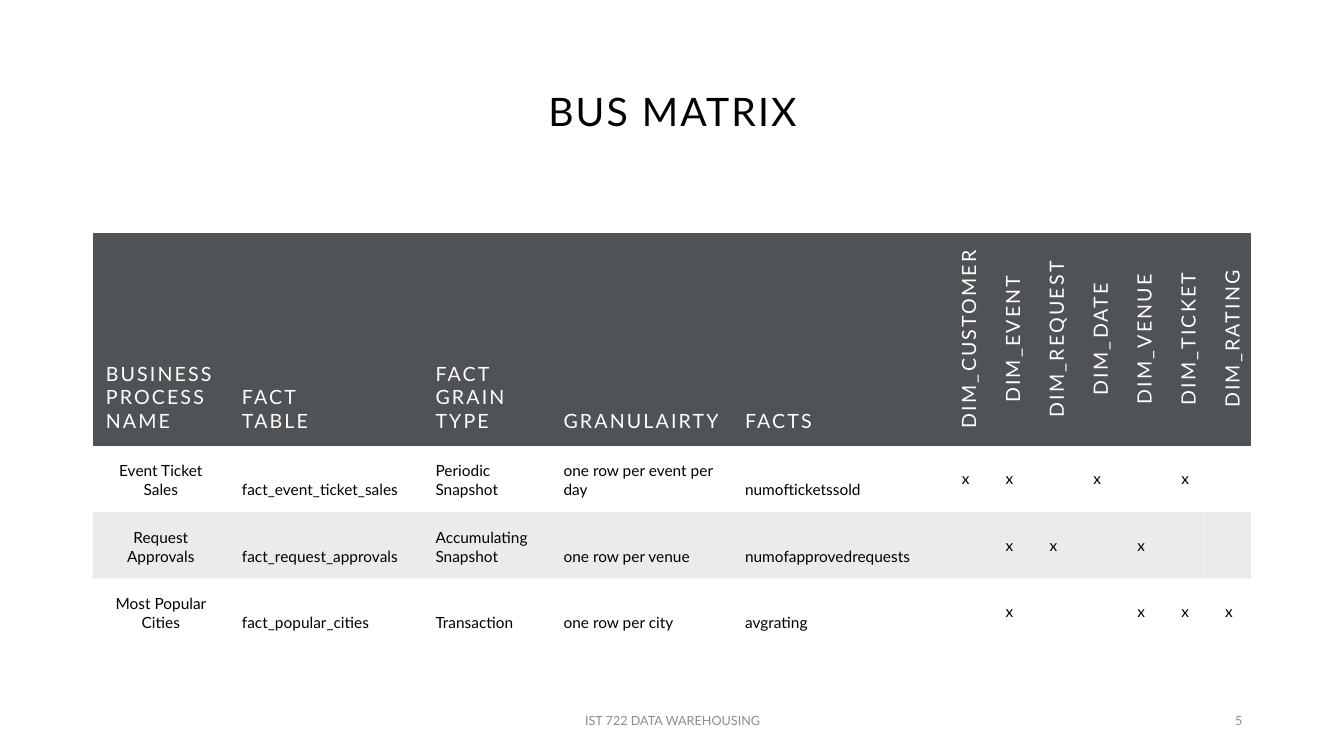
"""Build the bus matrix slide of a data warehousing deck."""
from dataclasses import dataclass

from lxml.etree import SubElement
from pptx import Presentation
from pptx.dml.color import RGBColor
from pptx.enum.text import MSO_ANCHOR as Anchor, MSO_VERTICAL_ANCHOR, PP_ALIGN as Align
from pptx.oxml.ns import qn
from pptx.slide import Slide
from pptx.table import Table, _Cell as Cell
from pptx.text.text import _Paragraph as Paragraph
from pptx.util import Inches, Pt

FONT = "Lato"
BLACK = RGBColor(0x00, 0x00, 0x00)
WHITE = RGBColor(0xFF, 0xFF, 0xFF)
SLATE = RGBColor(0x50, 0x53, 0x56)
GRAY = RGBColor(0x8C, 0x8C, 0x8C)
PLAIN_STYLE = "{2D5ABB26-0587-4C30-8999-92F81FD0307C}"
BAND_ALPHA = 8
TABLE_WIDTH = 11.49
HEADER_HEIGHT = 2.11
ROW_HEIGHT = 0.66
MARGIN = Inches(0.13)


@dataclass
class Column:
    heading: str
    width: float


@dataclass
class Process:
    details: list[str]
    dimensions: set[str]


@dataclass
class Footer:
    text: str
    left: float
    width: float
    align: Align


COLUMNS = [
    Column("BUSINESS\nPROCESS\nNAME", 1.35),
    Column("FACT\nTABLE", 1.92),
    Column("FACT\nGRAIN\nTYPE", 1.27),
    Column("GRANULAIRTY", 1.8),
    Column("FACTS", 2.1),
]
DIMENSIONS = ["CUSTOMER", "EVENT", "REQUEST", "DATE", "VENUE", "TICKET", "RATING"]
PROCESSES = [
    Process(["Event Ticket Sales", "fact_event_ticket_sales", "Periodic Snapshot",
             "one row per event per day", "numofticketssold"],
            {"CUSTOMER", "EVENT", "DATE", "TICKET"}),
    Process(["Request Approvals", "fact_request_approvals", "Accumulating Snapshot",
             "one row per venue", "numofapprovedrequests"],
            {"EVENT", "REQUEST", "VENUE"}),
    Process(["Most Popular Cities", "fact_popular_cities", "Transaction",
             "one row per city", "avgrating"],
            {"EVENT", "VENUE", "TICKET", "RATING"}),
]
FOOTERS = [
    Footer("IST 722 DATA WAREHOUSING", 4.42, 4.5, Align.CENTER),
    Footer("5", 9.42, 3, Align.RIGHT),
]


def write(para: Paragraph, text: str, size: float, color: RGBColor,
          align: Align, spacing: float = 0) -> None:
    """Fill a paragraph with evenly formatted text."""
    para.text = text
    para.alignment = align
    para.font.name = FONT
    para.font.size = Pt(size)
    para.font.bold = False
    para.font.color.rgb = color
    if spacing:
        for span in para.runs:
            span._r.get_or_add_rPr().set("spc", str(round(spacing * 100)))


def fill_cell(cell: Cell, text: str, size: float, color: RGBColor, align: Align,
              anchor: MSO_VERTICAL_ANCHOR, spacing: float = 0) -> None:
    """Write one table cell with equal margins."""
    cell.margin_left = cell.margin_right = MARGIN
    cell.margin_top = cell.margin_bottom = MARGIN
    cell.vertical_anchor = anchor
    write(cell.text_frame.paragraphs[0], text, size, color, align, spacing)


def shade(cell: Cell, banded: bool) -> None:
    """Give a body cell a faint black tint, or no fill."""
    if not banded:
        cell.fill.background()
        return
    cell.fill.solid()
    cell.fill.fore_color.rgb = BLACK
    tint = cell._tc.tcPr.find(f".//{qn('a:srgbClr')}")
    SubElement(tint, qn("a:alpha")).set("val", str(BAND_ALPHA * 1000))


def add_title(page: Slide) -> None:
    """Place and format the slide title."""
    title = page.shapes.title
    title.left, title.top = Inches(0.92), Inches(0.4)
    title.width, title.height = Inches(11.5), Inches(1.45)
    title.text_frame.vertical_anchor = Anchor.MIDDLE
    para = title.text_frame.paragraphs[0]
    write(para, "BUS MATRIX", 28, BLACK, Align.CENTER, 1.5)
    para.line_spacing = 0.9


def add_footer(page: Slide, footer: Footer) -> None:
    """Add one line of footer text."""
    box = page.shapes.add_textbox(Inches(footer.left), Inches(6.95),
                                  Inches(footer.width), Inches(0.4))
    box.text_frame.word_wrap = True
    box.text_frame.vertical_anchor = Anchor.MIDDLE
    para = box.text_frame.paragraphs[0]
    write(para, footer.text, 9, GRAY, footer.align)
    para.space_after = Pt(6)


def fill_header(table: Table, columns: list[Column]) -> None:
    """Size the columns and write their headings, dimensions turned upright."""
    table.rows[0].height = Inches(HEADER_HEIGHT)
    for index, column in enumerate(columns):
        table.columns[index].width = Inches(column.width)
        cell = table.cell(0, index)
        upright = index >= len(COLUMNS)
        align = Align.CENTER if upright else Align.LEFT
        fill_cell(cell, column.heading, 14, WHITE, align, Anchor.BOTTOM, 1.5)
        cell.fill.solid()
        cell.fill.fore_color.rgb = SLATE
        if upright:
            cell._tc.tcPr.set("vert", "vert270")


def fill_process(table: Table, row: int, process: Process) -> None:
    """Write the details and dimension marks of one business process."""
    table.rows[row].height = Inches(ROW_HEIGHT)
    marks = ["x" if name in process.dimensions else "" for name in DIMENSIONS]
    for index, text in enumerate(process.details + marks):
        marked = index >= len(COLUMNS)
        align = Align.CENTER if marked or index == 0 else Align.LEFT
        anchor = Anchor.MIDDLE if marked else Anchor.BOTTOM
        cell = table.cell(row, index)
        fill_cell(cell, text, 11, BLACK, align, anchor)
        shade(cell, row % 2 == 0)


def add_matrix(page: Slide) -> None:
    """Add the bus matrix table."""
    spare = TABLE_WIDTH - sum(column.width for column in COLUMNS)
    columns = COLUMNS + [Column(f"DIM_{name}", spare / len(DIMENSIONS))
                         for name in DIMENSIONS]
    height = HEADER_HEIGHT + ROW_HEIGHT * len(PROCESSES)
    frame = page.shapes.add_table(len(PROCESSES) + 1, len(columns), Inches(0.92),
                                  Inches(2.31), Inches(TABLE_WIDTH), Inches(height))
    table = frame.table
    table.first_row = table.horz_banding = False
    table._tbl.tblPr.find(qn("a:tableStyleId")).text = PLAIN_STYLE
    fill_header(table, columns)
    for row, process in enumerate(PROCESSES, start=1):
        fill_process(table, row, process)


def main() -> None:
    """Build and save the deck."""
    deck = Presentation()
    deck.slide_width, deck.slide_height = Inches(13.33), Inches(7.5)
    page = deck.slides.add_slide(deck.slide_layouts[5])
    add_title(page)
    for footer in FOOTERS:
        add_footer(page, footer)
    add_matrix(page)
    deck.save("out.pptx")


if __name__ == "__main__":
    main()
